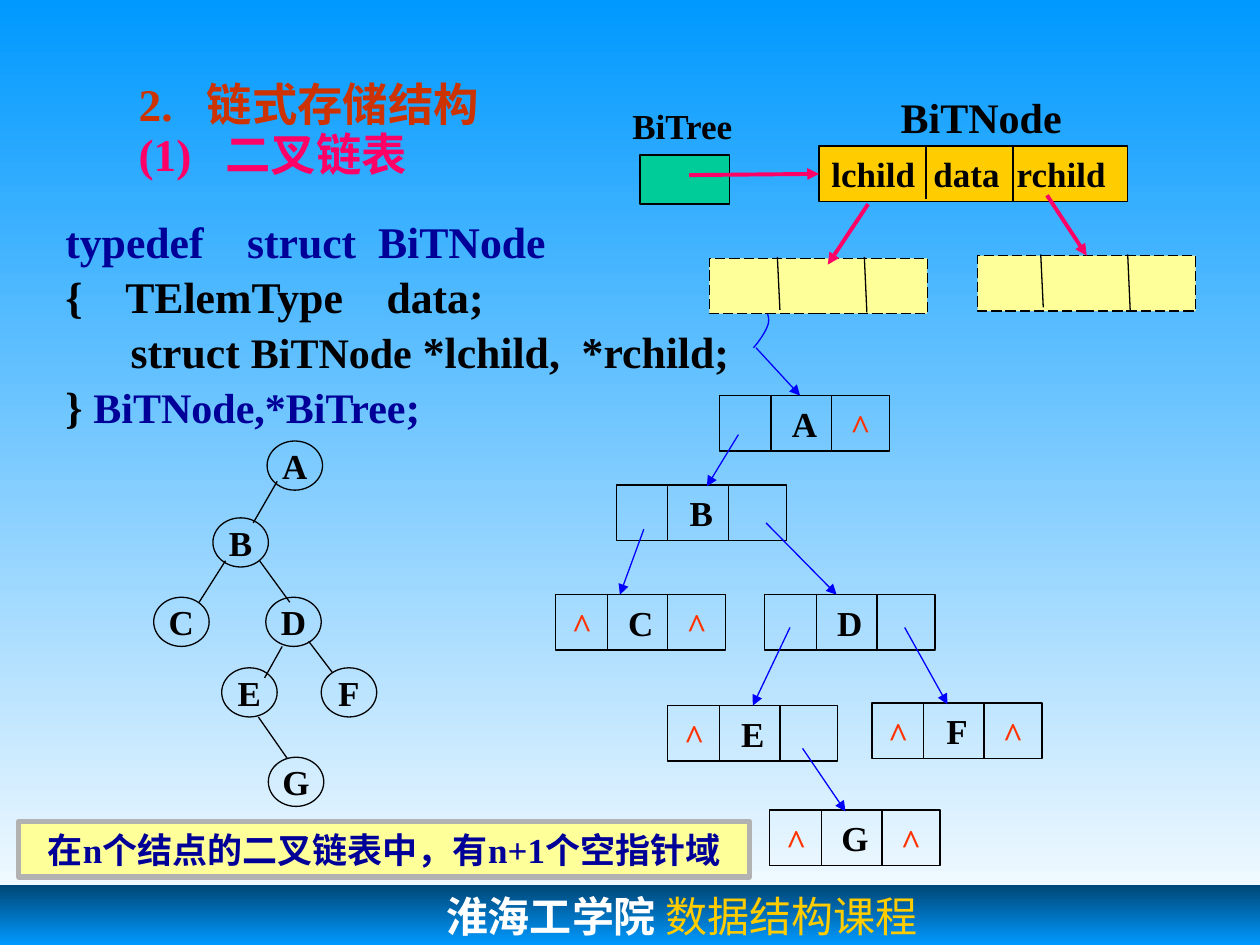
from collections import namedtuple

from lxml.etree import SubElement
from pptx import Presentation
from pptx.dml.color import RGBColor
from pptx.enum.dml import MSO_LINE
from pptx.enum.shapes import MSO_CONNECTOR, MSO_SHAPE
from pptx.enum.text import MSO_ANCHOR, MSO_AUTO_SIZE, PP_ALIGN
from pptx.oxml.ns import qn
from pptx.util import Inches, Pt

RECTANGLE, OVAL = MSO_SHAPE.RECTANGLE, MSO_SHAPE.OVAL
STRAIGHT, LONG_DASH = MSO_CONNECTOR.STRAIGHT, MSO_LINE.LONG_DASH
TOP, MIDDLE = MSO_ANCHOR.TOP, MSO_ANCHOR.MIDDLE
LEFT, CENTER = PP_ALIGN.LEFT, PP_ALIGN.CENTER
NO_AUTOFIT = MSO_AUTO_SIZE.NONE
TOP_SITE, LEFT_SITE = 0, 1

BLACK, WHITE = RGBColor(0, 0, 0), RGBColor(255, 255, 255)
SKY, DEEP = RGBColor(0x00, 0x99, 0xFF), RGBColor(0x00, 0x46, 0x75)
NAVY, BLUE = RGBColor(0x00, 0x00, 0x99), RGBColor(0x00, 0x00, 0xFF)
BRICK, PINK, RED = RGBColor(0xCC, 0x33, 0x00), RGBColor(0xFF, 0x00, 0x66), RGBColor(0xFF, 0x33, 0x00)
GOLD, CREAM = RGBColor(0xFF, 0xCC, 0x00), RGBColor(0xFF, 0xFF, 0x99)
GREEN, GRAY = RGBColor(0x00, 0xCC, 0x99), RGBColor(0xB2, 0xB2, 0xB2)
SERIF, MONO = "Times New Roman", "DejaVu Sans Mono"

COLUMNS, ROWS = 100, 75
CELL = Inches(10) // COLUMNS
Box = namedtuple("Box", "left top width height")


def grid(*cells):
    """Convert grid cells to slide lengths."""
    return [round(cell * CELL) for cell in cells]


def inside(box, left, top, width=0, height=0):
    """Return a box offset from the corner of another one."""
    return Box(box.left + left, box.top + top, width, height)


def add_run(paragraph, text, **formats):
    """Append a formatted run to a paragraph."""
    run = paragraph.add_run()
    run.text = text
    color = formats.pop("color", BLACK)
    values = {"name": SERIF, "size": Pt(20), "bold": True, **formats}
    for name, value in values.items():
        setattr(run.font, name, value)
    run.font.color.rgb = color


def format_frame(shape, **formats):
    """Set the frame properties of a shape and return its first paragraph."""
    frame = shape.text_frame
    for name, value in {"word_wrap": False, "vertical_anchor": MIDDLE, **formats}.items():
        setattr(frame, name, value)
    return frame.paragraphs[0]


def add_block(slide, kind, box, fill=None, line=BLACK, weight=0.75):
    """Add a preset shape with plain fill and outline."""
    shape = slide.shapes.add_shape(kind, *grid(*box))
    shape.shadow.inherit = False
    if fill is None:
        shape.fill.background()
    else:
        shape.fill.solid()
        shape.fill.fore_color.rgb = fill
    shape.line.color.rgb = line
    shape.line.width = Pt(weight)
    return shape


def add_label(shape, text, align=CENTER, anchor=MIDDLE, **formats):
    """Write one line of text in a shape."""
    paragraph = format_frame(shape, vertical_anchor=anchor)
    paragraph.alignment = align
    add_run(paragraph, text, **formats)


def add_line(slide, box, ends, color=BLACK, weight=0.75, arrow=False, target=None, site=TOP_SITE):
    """Draw a line between two points of a box, optionally joined to a target."""
    x1, y1, x2, y2 = ends
    points = grid(box.left + x1, box.top + y1, box.left + x2, box.top + y2)
    connector = slide.shapes.add_connector(STRAIGHT, *points)
    connector.line.color.rgb = color
    connector.line.width = Pt(weight)
    if arrow:
        SubElement(connector.line._get_or_add_ln(), qn("a:tailEnd"), type="triangle")
    SubElement(connector._element.spPr, qn("a:effectLst"))
    if target is not None:
        connector.end_connect(target, site)


def fill_gradient(fill, first, last):
    """Fill with a gradient running downwards."""
    fill.gradient()
    fill.gradient_angle = 270
    for stop, color, position in zip(fill.gradient_stops, (first, last), (0, 1)):
        stop.color.rgb = color
        stop.position = position


def add_footer(slide, box):
    """Add the course band at the foot of the slide."""
    band = add_block(slide, RECTANGLE, box)
    fill_gradient(band.fill, DEEP, SKY)
    band.line.fill.background()
    paragraph = format_frame(band, vertical_anchor=TOP, margin_left=grid(35.4)[0])
    paragraph.alignment = LEFT
    add_run(paragraph, "淮海工学院", name=MONO, size=Pt(24), color=WHITE)
    add_run(paragraph, " 数据结构课程", size=Pt(24), bold=False, color=GOLD)


def add_headings(slide, box):
    """Fill the body placeholder with the two numbered headings."""
    body = slide.placeholders[1]
    body.left, body.top, body.width, body.height = grid(*box)
    paragraph = format_frame(body, word_wrap=True, vertical_anchor=TOP, auto_size=NO_AUTOFIT)
    headings = [("2.\t链式存储结构", BRICK, 15.4, 0), ("(1)\t二叉链表", PINK, 16.9, 7)]
    for index, (text, color, hanging, before) in enumerate(headings):
        if index:
            paragraph = body.text_frame.add_paragraph()
        properties = paragraph._p.get_or_add_pPr()
        properties.set("marL", str(grid(hanging)[0]))
        properties.set("indent", str(grid(10 - hanging)[0]))
        SubElement(properties, qn("a:buNone"))
        paragraph.line_spacing = 0.7
        paragraph.space_before = Pt(before)
        add_run(paragraph, text, size=Pt(25.9), color=color)


def add_code(slide, box):
    """Write the type declaration."""
    lines = [
        [("typedef    struct  BiTNode", 25, NAVY)],
        [("{    TElemType    data;", 25, BLACK)],
        [("      struct ", 25, BLACK), ("BiTNode", 24, BLACK), (" *lchild,  *rchild;", 25, BLACK)],
        [("} ", 25, BLACK), ("BiTNode,*BiTree", 24, NAVY), (";", 25, NAVY)],
    ]
    code = slide.shapes.add_textbox(*grid(*box))
    paragraph = format_frame(code, word_wrap=True)
    for index, runs in enumerate(lines):
        if index:
            paragraph = code.text_frame.add_paragraph()
        paragraph.line_spacing = 1.05
        for text, size, color in runs:
            add_run(paragraph, text, size=Pt(size), color=color)


def add_tree(slide, box):
    """Draw the binary tree with round nodes."""
    nodes = {"A": (9, 0), "B": (4.7, 6.1), "C": (0, 12.4), "D": (8.9, 12.4),
             "E": (5.4, 18), "F": (13.3, 18), "G": (9.1, 25.1)}
    edges = [(9.8, 3.2, 7.9, 6.5), (5.7, 9.5, 3.6, 12.8), (8.4, 9.5, 10.8, 12.8),
             (10.2, 16.3, 8.8, 18.8), (12.3, 15.9, 14.2, 18.4), (8.3, 21.9, 10.6, 25.2)]
    for name, corner in nodes.items():
        add_label(add_block(slide, OVAL, inside(box, *corner, 4.4, 3.9)), name)
    for ends in edges:
        add_line(slide, box, ends)


def add_linked_list(slide, box):
    """Draw the linked nodes with their null marks and pointers."""
    nodes = {"A": (13, 0, "R"), "B": (4.8, 7.1, ""), "C": (0, 15.8, "LR"), "D": (16.6, 15.8, ""),
             "E": (8.9, 24.6, "L"), "F": (25.1, 24.4, "LR"), "G": (17, 32.9, "LR")}
    pointers = [(14.5, 3.1, 12, 7.2, None), (7, 10.6, 5.1, 15.8, None), (16.7, 10.1, 22.3, 15.8, None),
                (18.6, 18.4, 15.6, 24.6, "E"), (27.7, 18.4, 31.1, 24.5, None),
                (19.6, 28, 23, 33, None), (15.9, -3.8, 19.4, 0, None)]
    marks = {"L": 0.3, "R": 9.4}
    blocks = {}
    for name, (left, top, nulls) in nodes.items():
        node = inside(box, left, top, 13.5, 4.4)
        blocks[name] = add_block(slide, RECTANGLE, node)
        add_label(blocks[name], name)
        for divider in (4.1, 8.9):
            add_line(slide, node, (divider, 0, divider, node.height))
        for side in nulls:
            mark = slide.shapes.add_textbox(*grid(*inside(node, marks[side], 0.2, 3.6, 4.4)))
            add_label(mark, "^", color=RED)
    for *ends, target in pointers:
        add_line(slide, box, ends, BLUE, arrow=True, target=blocks.get(target))


def add_curve(slide, box):
    """Draw the bent start of the pointer to the root."""
    curves = [((0.4, 0), (0.8, 0.6), (1.3, 1.2), (1.2, 1.9)),
              ((1.2, 1.9), (1.1, 2.5), (0.3, 3.6), (0, 3.9))]
    points = []
    for curve in curves:
        for step in range(9):
            t = step / 8
            weights = ((1 - t) ** 3, 3 * t * (1 - t) ** 2, 3 * t * t * (1 - t), t ** 3)
            x, y = (sum(w * p[axis] for w, p in zip(weights, curve)) for axis in (0, 1))
            points.append(grid(box.left + x, box.top + y))
    builder = slide.shapes.build_freeform(*points[0])
    builder.add_line_segments(points[1:], close=False)
    curve = builder.convert_to_shape()
    curve.shadow.inherit = False
    curve.fill.background()
    curve.line.color.rgb = BLUE
    curve.line.width = Pt(0.75)


def add_node_layout(slide, box):
    """Draw the node record, the tree pointer and the two child records."""
    record = inside(box, 15.8, 4.8, 24.5, 4.4)
    fields = add_block(slide, RECTANGLE, record, GOLD)
    paragraph = format_frame(fields, word_wrap=True)
    stops = SubElement(paragraph._p.get_or_add_pPr(), qn("a:tabLst"))
    for stop in grid(8.1, 14.7):
        SubElement(stops, qn("a:tab"), pos=str(stop), algn="l")
    paragraph.alignment = LEFT
    add_run(paragraph, "lchild\tdata\trchild")
    for divider, bottom in ((8.5, 4.2), (15.4, 4.4)):
        add_line(slide, record, (divider, -0.1, divider, bottom))
    add_block(slide, RECTANGLE, inside(box, 1.6, 5.5, 7.1, 3.9), GREEN)
    for text, size, place in (("BiTree", 20, (0, 1, 10.2, 4.4)), ("BiTNode", 24, (21.3, 0, 14.8, 5))):
        label = slide.shapes.add_textbox(*grid(*inside(box, *place)))
        add_label(label, text, LEFT, TOP, size=Pt(size))
    for left, top, first in ((7.1, 13.7, 5.4), (28.4, 13.5, 5)):
        child = inside(box, left, top, 17.3, 4.4)
        block = add_block(slide, RECTANGLE, child, CREAM)
        block.line.dash_style = LONG_DASH
        for divider, bottom in ((first, 4.1), (first + 6.9, 4.3)):
            add_line(slide, child, (divider, -0.1, divider + 0.2, bottom))
    arrows = [((5.5, 7.1, 15.8, 7.1), fields, LEFT_SITE),
              ((19.7, 9.4, 16.5, 14.2), None, TOP_SITE),
              ((33.9, 8.7, 37, 13.4), block, TOP_SITE)]
    for ends, target, site in arrows:
        add_line(slide, box, ends, PINK, 2.25, True, target, site)


def main():
    """Build and save the slide."""
    presentation = Presentation()
    presentation.slide_width, presentation.slide_height = grid(COLUMNS, ROWS)
    slide = presentation.slides.add_slide(presentation.slide_layouts[1])
    title = slide.shapes.title._element
    title.getparent().remove(title)
    fill_gradient(slide.background.fill, SKY, WHITE)
    add_footer(slide, Box(0, 70.2, COLUMNS, ROWS - 70.2))
    add_headings(slide, Box(0, 6.7, 93, 8.6))
    add_code(slide, Box(4.2, 16.7, 56.1, 17.7))
    add_tree(slide, Box(12.2, 35, 17.7, 29))
    note = add_block(slide, RECTANGLE, Box(1.5, 65.2, 58, 4.4), CREAM, GRAY, 3)
    add_label(note, "在n个结点的二叉链表中，有n+1个空指针域", color=NAVY)
    add_linked_list(slide, Box(44.1, 31.4, 38.6, 37.3))
    add_curve(slide, Box(59.8, 23.7, 1.3, 3.9))
    add_node_layout(slide, Box(49.2, 6.8, 45.7, 18.1))
    presentation.save("out.pptx")


if __name__ == "__main__":
    main()
